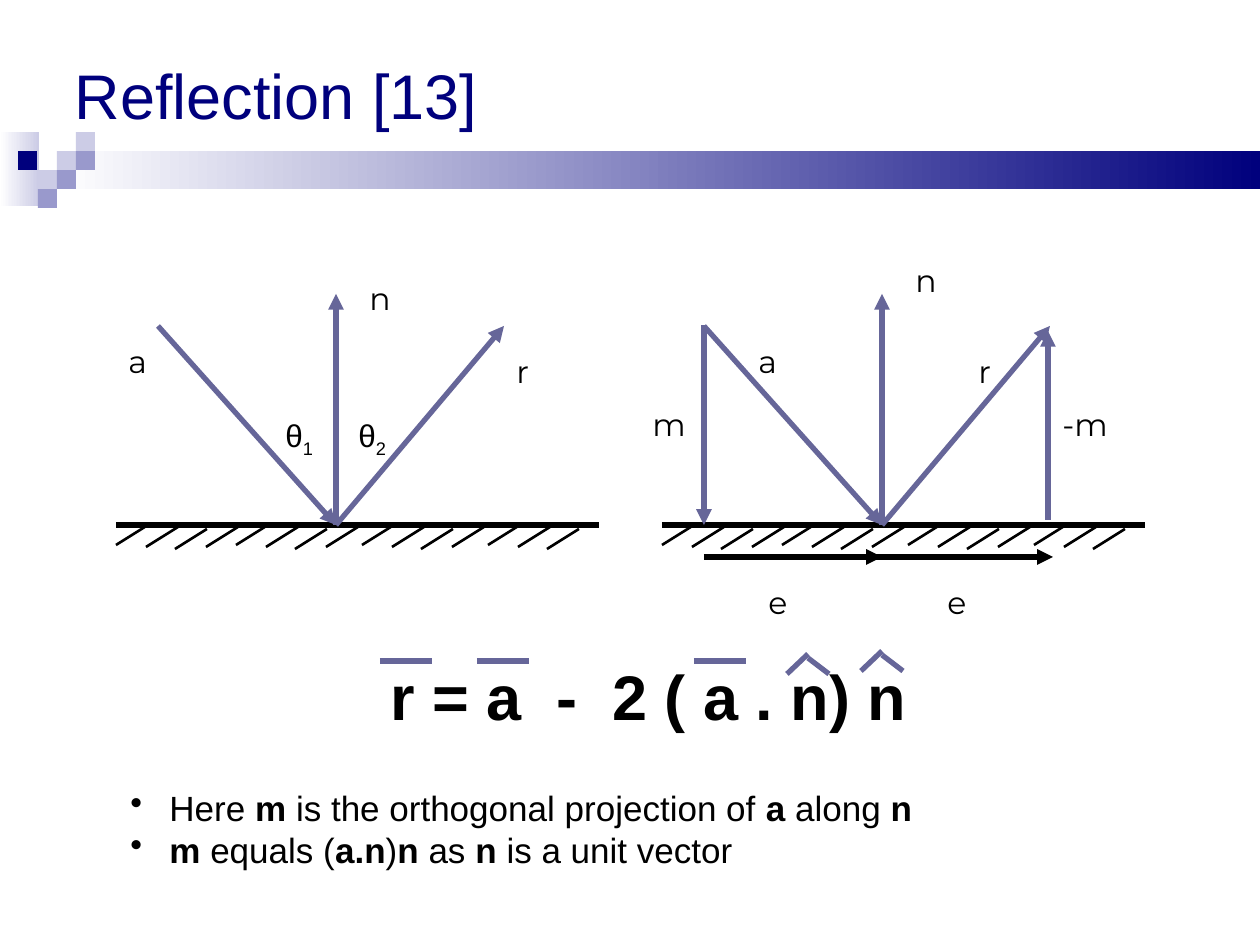
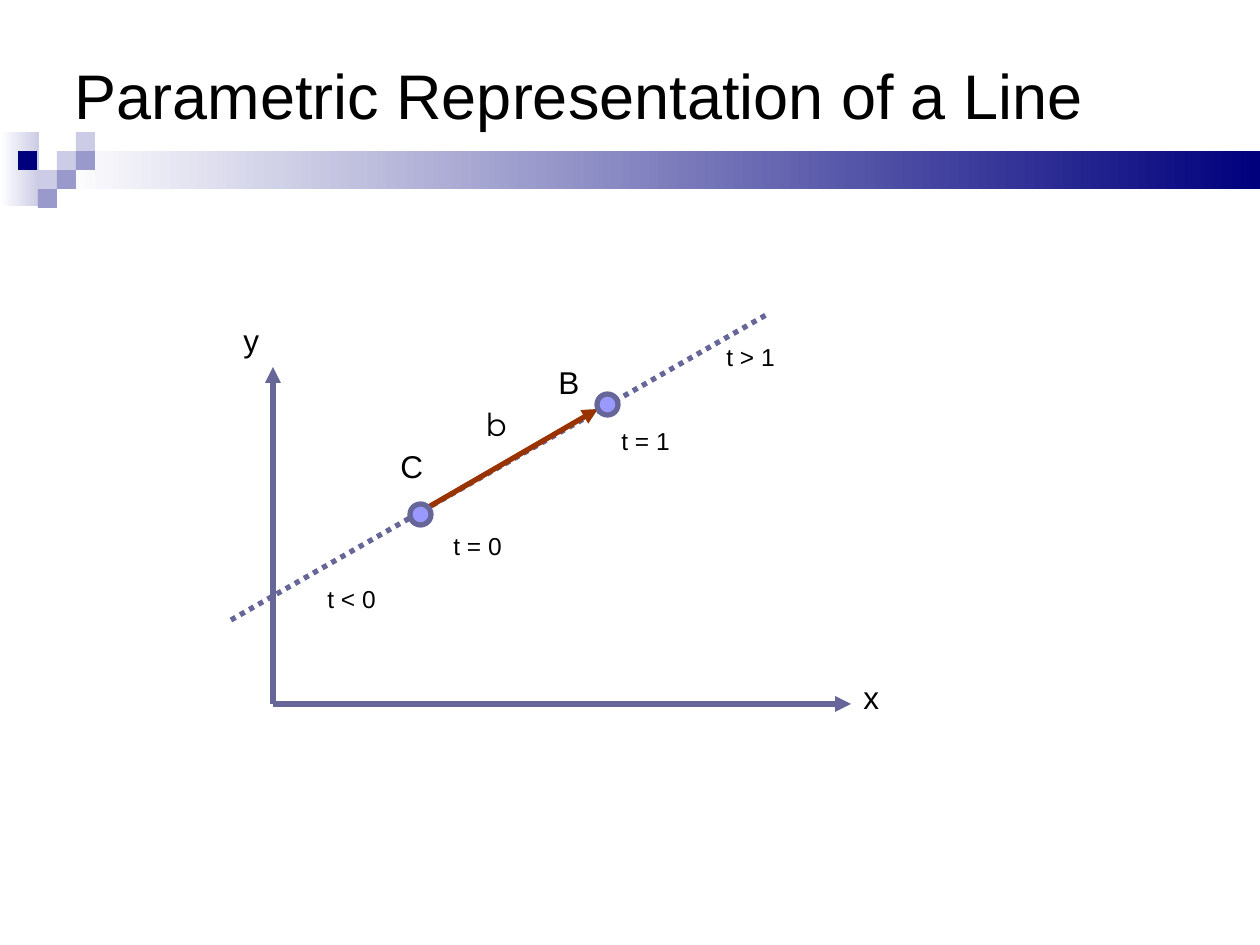
import pptx
import pptx.dml.color
import pptx.enum.dml
import pptx.enum.shapes
import pptx.enum.text
import pptx.oxml
import pptx.oxml.ns
import pptx.util

RGBColor = pptx.dml.color.RGBColor
SHAPES = pptx.enum.shapes.MSO_SHAPE
PX = 914400 / 126

BLACK = RGBColor(0x00, 0x00, 0x00)
WHITE = RGBColor(0xFF, 0xFF, 0xFF)
NAVY = RGBColor(0x00, 0x00, 0x7D)
LAVENDER = RGBColor(0x99, 0x99, 0xCC)
MIST = RGBColor(0xCC, 0xCC, 0xE6)
SLATE = RGBColor(0x66, 0x66, 0x99)
PERIWINKLE = RGBColor(0x99, 0x99, 0xFF)
RUST = RGBColor(0x99, 0x33, 0x00)

ARIAL = "Arial"
MONTSERRAT = "Montserrat"
BOLD = {"bold": True}
MIRROR_SHIFT = 546
SURFACE_Y = 525


def emu(*lengths):
    """Turn px lengths into EMU."""
    return [round(length * PX) for length in lengths]


def assign(target, values):
    """Set every attribute named in values."""
    for name, value in values.items():
        setattr(target, name, value)


def add_span(para, text, size, font=ARIAL, color=BLACK, **extra):
    """Add a formatted run to a paragraph."""
    span = para.add_run()
    span.text = text
    assign(span.font, {"name": font, "size": pptx.util.Pt(size), **extra})
    span.font.color.rgb = color
    return span


def add_title(page, text, color):
    """Place and format the title placeholder."""
    title = page.shapes.title
    left, top, width, height = emu(62, 0, 1134, 189)
    assign(title, {"left": left, "top": top, "width": width, "height": height})
    frame = title.text_frame
    assign(frame, {"word_wrap": True,
                   "auto_size": pptx.enum.text.MSO_AUTO_SIZE.NONE,
                   "vertical_anchor": pptx.enum.text.MSO_ANCHOR.MIDDLE})
    para = frame.paragraphs[0]
    para.alignment = pptx.enum.text.PP_ALIGN.LEFT
    add_span(para, text, 36, color=color)


def add_block(page, box, color, faded=False):
    """Add a borderless rectangle, plain or fading in from white."""
    block = page.shapes.add_shape(SHAPES.RECTANGLE, *emu(*box))
    block.shadow.inherit = False
    block.line.fill.background()
    if faded:
        block.fill.gradient()
        block.fill.gradient_angle = 0
        for stop, shade in zip(block.fill.gradient_stops, (WHITE, color)):
            stop.color.rgb = shade
    else:
        block.fill.solid()
        block.fill.fore_color.rgb = color


def add_band(page):
    """Draw the gradient band and the mosaic at its left end."""
    add_block(page, (0, 132, 39, 74), MIST, faded=True)
    add_block(page, (57, 151, 1203, 38), NAVY, faded=True)
    tiles = [(57, 151, MIST), (76, 132, MIST), (76, 151, LAVENDER), (38, 170, MIST),
             (18, 151, NAVY), (57, 170, LAVENDER), (38, 189, LAVENDER)]
    for left, top, color in tiles:
        add_block(page, (left, top, 19, 19), color)


def add_line(page, start, end, color=SLATE, width=3, arrow=False, dash=None):
    """Add a straight line, optionally dashed or with an arrowhead."""
    line = page.shapes.add_connector(pptx.enum.shapes.MSO_CONNECTOR.STRAIGHT,
                                     *emu(*start, *end))
    line.line.color.rgb = color
    line.line.width = pptx.util.Pt(width)
    if dash:
        line.line.dash_style = dash
    properties = line._element.spPr
    if arrow:
        head = pptx.oxml.ns.qn("a:tailEnd")
        line.line._get_or_add_ln().append(
            properties.makeelement(head, {"type": "triangle"}))
    properties.append(properties.makeelement(pptx.oxml.ns.qn("a:effectLst"), {}))


def add_text_box(page, left, top, width, height):
    """Add a wrapping text box and return it."""
    box = page.shapes.add_textbox(*emu(left, top, width, height))
    box.text_frame.word_wrap = True
    return box


def add_label(page, text, left, top, width=53, font=ARIAL, size=18, subscript=""):
    """Add a short label with an optional subscript."""
    box = add_text_box(page, left, top, width, 50 if size == 18 else 43)
    para = box.text_frame.paragraphs[0]
    para.space_before = pptx.util.Pt(11.2 if size == 18 else 8.8)
    add_span(para, text, size, font)
    if subscript:
        span = add_span(para, subscript, size, font)
        span._r.get_or_add_rPr().set("baseline", "-25000")


def add_bullets(page, box, items):
    """Add a white box of bulleted lines built from text and format pairs."""
    panel = add_text_box(page, *box)
    panel.fill.solid()
    panel.fill.fore_color.rgb = WHITE
    frame = panel.text_frame
    indent = emu(39)[0]
    for index, spans in enumerate(items):
        para = frame.add_paragraph() if index else frame.paragraphs[0]
        properties = para._p.get_or_add_pPr()
        properties.set("marL", str(indent))
        properties.set("indent", str(-indent))
        bullet = pptx.oxml.ns.qn("a:buChar")
        properties.append(properties.makeelement(bullet, {"char": "•"}))
        for text, values in spans:
            add_span(para, text, 20, **values)


def add_reflection(page, left):
    """Draw the hatched surface with incoming, normal and reflected rays."""
    add_line(page, (left, SURFACE_Y), (left + 483, SURFACE_Y), BLACK)
    strokes = [(group + step, drop) for group in (0, 120, 246, 372)
               for step, drop in ((0, 0), (30, 2), (59, 4), (90, 2))]
    for shift, drop in strokes[:-1]:
        x, y = left + shift, SURFACE_Y + drop
        add_line(page, (x + 32, y), (x, y + 20), BLACK, 1.5)
    hit = (left + 220, SURFACE_Y)
    add_line(page, hit, (left + 220, 294), arrow=True)
    add_line(page, (left + 42, 326), hit, arrow=True)
    add_line(page, hit, (left + 388, 326), arrow=True)


def add_equation(page):
    """Write the reflection formula with its vector bars and hats."""
    box = add_text_box(page, 378, 651, 672, 88)
    add_span(box.text_frame.paragraphs[0], "r = a  -  2 ( a . n) n", 36, bold=True)
    for left in (380, 477, 694):
        add_line(page, (left, 661), (left + 52, 661))
    for left, top in ((787, 654), (861, 651)):
        add_line(page, (left, top + 20), (left + 21, top))
        add_line(page, (left + 42, top + 20), (left + 21, top + 4))


def build_reflection(page):
    """Build the reflection slide."""
    add_title(page, "Reflection [13]", NAVY)
    for left in (116, 116 + MIRROR_SHIFT):
        add_reflection(page, left)
    add_line(page, (704, 325), (704, SURFACE_Y), arrow=True)
    add_line(page, (1048, 520), (1048, 331), arrow=True)
    for start, end in ((704, 882), (876, 1053)):
        add_line(page, (start, 557), (end, 557), BLACK, arrow=True)

    labels = [("a", 116, 336), ("n", 357, 273), ("r", 504, 346),
              ("a", 746, 336), ("n", 903, 255), ("r", 966, 346),
              ("m", 640, 399), ("e", 756, 577), ("e", 935, 577)]
    for text, left, top in labels:
        add_label(page, text, left, top, font=MONTSERRAT)
    add_label(page, "-m", 1050, 399, 84, MONTSERRAT)
    for left, subscript in ((273, "1"), (346, "2")):
        add_label(page, "θ", left, 410, 63, subscript=subscript)

    add_equation(page)
    add_bullets(page, (118, 780, 816, 97), [
        [("Here ", {}), ("m", BOLD), (" is the orthogonal projection of ", {}),
         ("a", BOLD), (" along ", {}), ("n", BOLD)],
        [("m", BOLD), (" equals (", {}), ("a.n", BOLD), (")", {}), ("n", BOLD),
         (" as ", {}), ("n", BOLD), (" is a unit vector", {})],
    ])


def add_point(page, left, top):
    """Mark a point on the parametric line."""
    point = page.shapes.add_shape(SHAPES.OVAL, *emu(left, top, 21, 21))
    point.shadow.inherit = False
    point.fill.solid()
    point.fill.fore_color.rgb = PERIWINKLE
    point.line.color.rgb = SLATE
    point.line.width = pptx.util.Pt(3)


def build_parametric_line(page):
    """Build the parametric line slide."""
    add_title(page, "Parametric Representation of a Line", BLACK)
    for end in ((851, 704), (273, 367)):
        add_line(page, (273, 704), end, arrow=True)
    add_line(page, (231, 620), (766, 315),
             dash=pptx.enum.dml.MSO_LINE.ROUND_DOT)
    add_line(page, (420, 512), (598, 409), RUST, arrow=True)
    for left, top in ((410, 504), (597, 394)):
        add_point(page, left, top)

    for text, left, top in (("y", 231, 315), ("x", 851, 672),
                            ("B", 546, 357), ("C", 388, 441)):
        add_label(page, text, left, top)
    add_label(page, "b", 473, 399, font=MONTSERRAT)
    for text, left, top in (("t = 1", 609, 420), ("t = 0", 441, 525),
                            ("t < 0", 315, 578), ("t > 1", 714, 336)):
        add_label(page, text, left, top, 76, size=14)


def main():
    """Build and save the deck."""
    deck = pptx.Presentation()
    deck.slide_width, deck.slide_height = emu(1260, 945)
    for build in (build_reflection, build_parametric_line):
        page = deck.slides.add_slide(deck.slide_layouts[5])
        add_band(page)
        build(page)
    deck.save("out.pptx")


if __name__ == "__main__":
    main()
